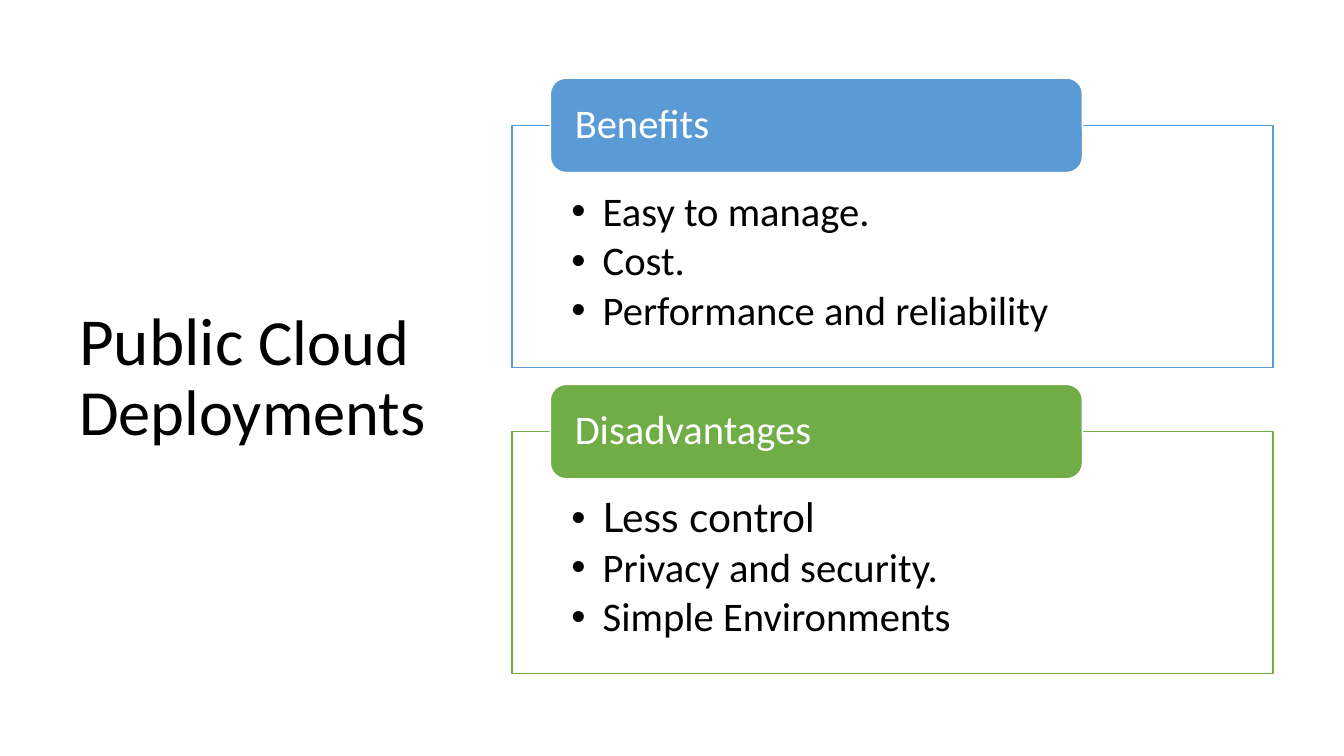
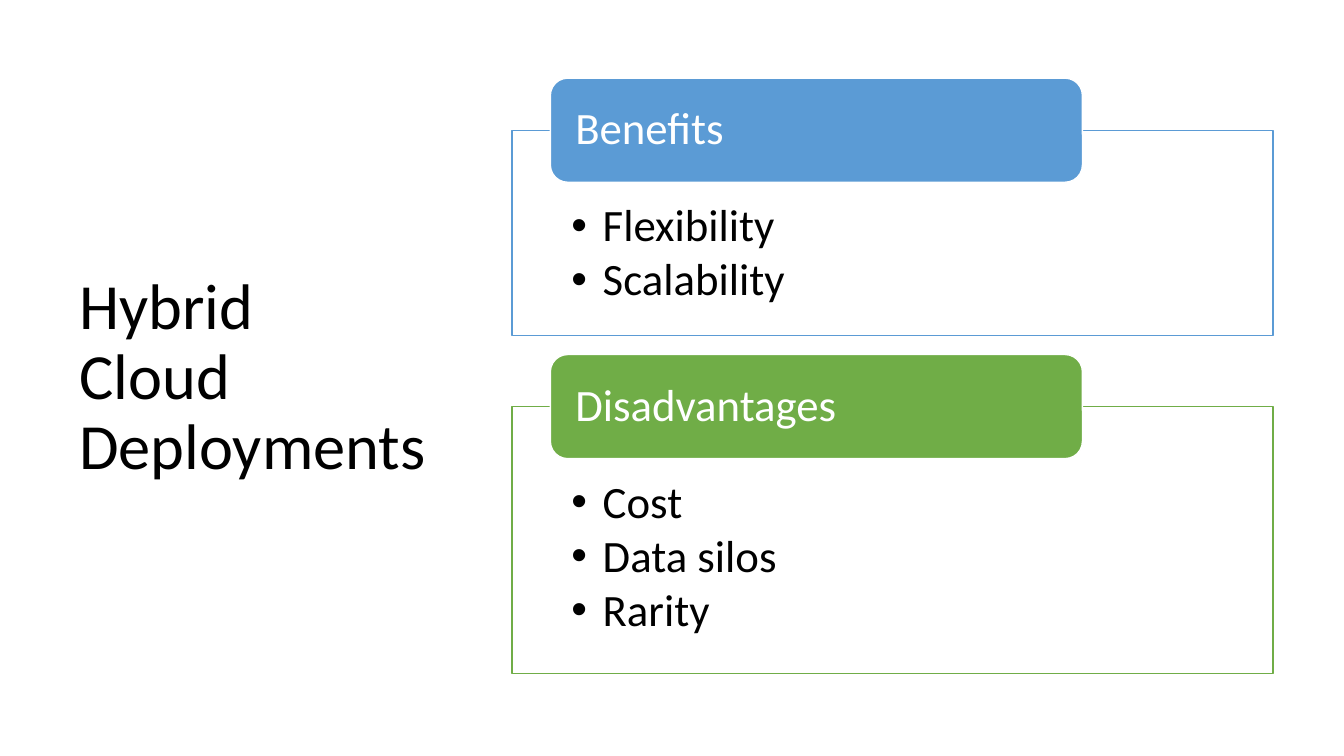
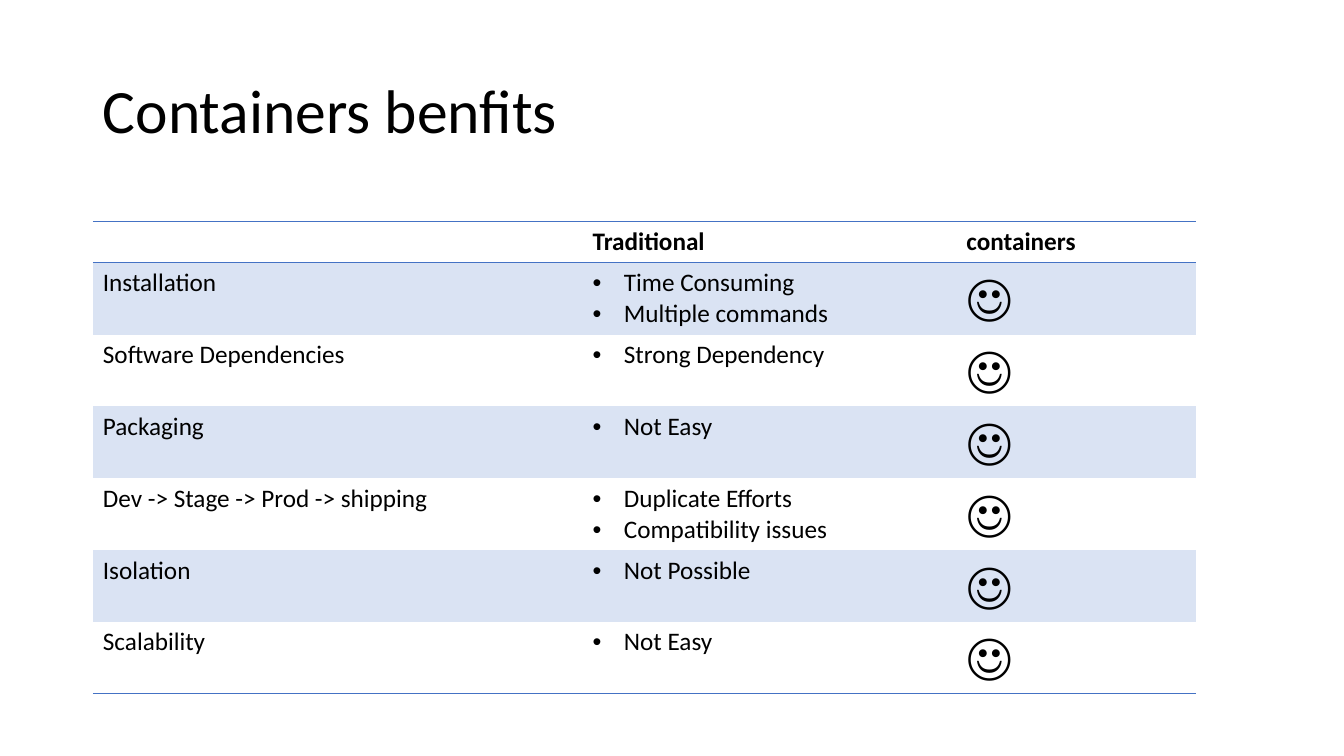
import pptx
import pptx.dml.color
import pptx.enum.shapes
import pptx.enum.text
import pptx.oxml
import pptx.oxml.ns
import pptx.util
from lxml import etree

Cm = pptx.util.Cm
Pt = pptx.util.Pt
RGBColor = pptx.dml.color.RGBColor
MSO_SHAPE = pptx.enum.shapes.MSO_SHAPE
MSO_ANCHOR = pptx.enum.text.MSO_ANCHOR
PP_ALIGN = pptx.enum.text.PP_ALIGN
qn = pptx.oxml.ns.qn

BLACK = RGBColor(0x00, 0x00, 0x00)
WHITE = RGBColor(0xFF, 0xFF, 0xFF)
BLUE = RGBColor(0x5B, 0x9B, 0xD5)
GREEN = RGBColor(0x70, 0xAD, 0x47)
RULE_BLUE = RGBColor(0x44, 0x72, 0xC4)
BAND_BLUE = RGBColor(0xDA, 0xE3, 0xF3)

BODY_FONT = "Calibri"
NO_TABLE_STYLE = "{2D5ABB26-0587-4C30-8999-92F81FD0307C}"
HANGING_INDENT = Cm(0.79)

SIDE_TITLE_BOX = (1.75, 1.78, 9.5, 15.52)
TOP_TITLE_BOX = (2.34, 1.02, 29.21, 3.68)

PANEL_TOP = 1.97
FRAME_LEFT, FRAME_WIDTH = 12.9, 19.18
TAB_LEFT, TAB_WIDTH = 13.87, 13.41
TAB_HEIGHT_PER_POINT = 0.082
PANEL_GAP_PER_TAB = 0.18
FRAME_INSET_PER_TAB = 0.7

COLUMN_WIDTHS = (12.34, 9.42, 6.05)
HEADER_HEIGHT, ROW_HEIGHT = 1.04, 1.81
TABLE_ROWS = [
    ("Installation", ["Time Consuming", "Multiple commands"]),
    ("Software Dependencies", ["Strong Dependency"]),
    ("Packaging", ["Not Easy"]),
    ("Dev -> Stage -> Prod -> shipping", ["Duplicate Efforts", "Compatibility issues"]),
    ("Isolation", ["Not Possible"]),
    ("Scalability", ["Not Easy"]),
]


def add_run(paragraph, text, size, color=BLACK, font=BODY_FONT, bold=False):
    run = paragraph.add_run()
    run.text = text
    run.font.name = font
    run.font.size = Pt(size)
    run.font.bold = bold
    run.font.color.rgb = color


def add_bullet(paragraph):
    properties = paragraph._p.get_or_add_pPr()
    properties.set("marL", str(HANGING_INDENT))
    properties.set("indent", str(-HANGING_INDENT))
    etree.SubElement(properties, qn("a:buFont"), typeface="Arial")
    etree.SubElement(properties, qn("a:buChar"), char="•")


def add_bullet_list(text_frame, items, size):
    paragraphs = []
    for index, (text, font) in enumerate(items):
        paragraph = text_frame.add_paragraph() if index else text_frame.paragraphs[0]
        add_bullet(paragraph)
        paragraph.alignment = PP_ALIGN.LEFT
        add_run(paragraph, text, size, font=font)
        paragraphs.append(paragraph)
    return paragraphs


def add_title(slide, box, lines):
    shape = slide.shapes.add_textbox(*map(Cm, box))
    text_frame = shape.text_frame
    text_frame.word_wrap = True
    text_frame.vertical_anchor = MSO_ANCHOR.MIDDLE
    paragraph = text_frame.paragraphs[0]
    paragraph.line_spacing = 0.9
    for index, runs in enumerate(lines):
        if index:
            paragraph.add_line_break()
        for text, size in runs:
            add_run(paragraph, text, size)


def add_box(slide, preset, box, fill, line):
    shape = slide.shapes.add_shape(preset, *map(Cm, box))
    shape.shadow.inherit = False
    shape.fill.solid()
    shape.fill.fore_color.rgb = fill
    shape.line.color.rgb = line
    shape.line.width = Pt(1)
    shape.text_frame.word_wrap = True
    return shape


def add_panel(slide, top, tab_height, frame_height, heading, items, color, size):
    frame_top = top + tab_height / 2
    frame = add_box(slide, MSO_SHAPE.RECTANGLE,
                    (FRAME_LEFT, frame_top, FRAME_WIDTH, frame_height), WHITE, color)
    text_frame = frame.text_frame
    text_frame.vertical_anchor = MSO_ANCHOR.TOP
    text_frame.margin_left = text_frame.margin_right = Cm(1.5)
    text_frame.margin_top = Cm(tab_height * FRAME_INSET_PER_TAB)
    for paragraph in add_bullet_list(text_frame, items, size):
        paragraph.line_spacing = 0.9
        paragraph.space_after = Pt(4)

    tab = add_box(slide, MSO_SHAPE.ROUNDED_RECTANGLE,
                  (TAB_LEFT, top, TAB_WIDTH, tab_height), color, WHITE)
    tab.text_frame.margin_left = tab.text_frame.margin_right = Cm(0.5)
    tab.text_frame.vertical_anchor = MSO_ANCHOR.MIDDLE
    paragraph = tab.text_frame.paragraphs[0]
    paragraph.alignment = PP_ALIGN.LEFT
    paragraph.line_spacing = 0.9
    add_run(paragraph, heading, size, WHITE)
    return frame_top + frame_height


def add_comparison_slide(presentation, title_lines, size, panels):
    slide = add_blank_slide(presentation)
    add_title(slide, SIDE_TITLE_BOX, title_lines)
    tab_height = size * TAB_HEIGHT_PER_POINT
    top = PANEL_TOP
    headings = (("Benefits", BLUE), ("Disadvantages", GREEN))
    for (heading, color), (frame_height, items) in zip(headings, panels):
        bottom = add_panel(slide, top, tab_height, frame_height, heading, items, color, size)
        top = bottom + tab_height * PANEL_GAP_PER_TAB


def add_blank_slide(presentation):
    return presentation.slides.add_slide(presentation.slide_layouts[6])


def add_cell_border(cell, side):
    properties = cell._tc.get_or_add_tcPr()
    line = etree.SubElement(properties, qn("a:ln" + side), w=str(Pt(1)))
    fill = etree.SubElement(line, qn("a:solidFill"))
    etree.SubElement(fill, qn("a:srgbClr"), val=str(RULE_BLUE))


def style_cell(cell, row_index, last_row):
    if row_index == 0:
        add_cell_border(cell, "T")
    if row_index in (0, last_row):
        add_cell_border(cell, "B")
    if row_index % 2:
        cell.fill.solid()
        cell.fill.fore_color.rgb = BAND_BLUE
    else:
        cell.fill.background()


def add_benefits_table(slide):
    last_row = len(TABLE_ROWS)
    height = HEADER_HEIGHT + ROW_HEIGHT * last_row
    graphic_frame = slide.shapes.add_table(
        last_row + 1, len(COLUMN_WIDTHS),
        Cm(2.34), Cm(5.58), Cm(sum(COLUMN_WIDTHS)), Cm(height))
    table = graphic_frame.table
    table._tbl.tblPr.find(qn("a:tableStyleId")).text = NO_TABLE_STYLE
    for column, width in zip(table.columns, COLUMN_WIDTHS):
        column.width = Cm(width)
    for row_index, row in enumerate(table.rows):
        row.height = Cm(ROW_HEIGHT if row_index else HEADER_HEIGHT)
        for cell in row.cells:
            style_cell(cell, row_index, last_row)
    for column_index, heading in ((1, "Traditional"), (2, "containers")):
        paragraph = table.cell(0, column_index).text_frame.paragraphs[0]
        add_run(paragraph, heading, 18, bold=True)
    for row_index, (topic, drawbacks) in enumerate(TABLE_ROWS, 1):
        topic_cell, drawback_cell, smile_cell = table.rows[row_index].cells
        add_run(topic_cell.text_frame.paragraphs[0], topic, 18)
        add_bullet_list(drawback_cell.text_frame, plain(*drawbacks), 18)
        add_run(smile_cell.text_frame.paragraphs[0], "☺", 36)


def plain(*texts):
    return [(text, BODY_FONT) for text in texts]


def main():
    presentation = pptx.Presentation()
    presentation.slide_width = Cm(33.87)
    presentation.slide_height = Cm(19.05)

    add_comparison_slide(
        presentation, [[("Public", 48), (" Cloud Deployments", 46)]], 29,
        [(6.1, plain("Easy to manage.", "Cost.", "Performance and reliability")),
         (6.1, [("Less control", "Lato")] + plain("Privacy and security.", "Simple Environments"))])
    add_comparison_slide(
        presentation, [[("Hybrid", 46)], [("Cloud Deployments", 46)]], 32,
        [(5.18, plain("Flexibility", "Scalability")),
         (6.73, plain("Cost", "Data silos", "Rarity"))])

    slide = add_blank_slide(presentation)
    add_title(slide, TOP_TITLE_BOX, [[("Containers benfits", 44)]])
    add_benefits_table(slide)

    presentation.save("out.pptx")


if __name__ == "__main__":
    main()
